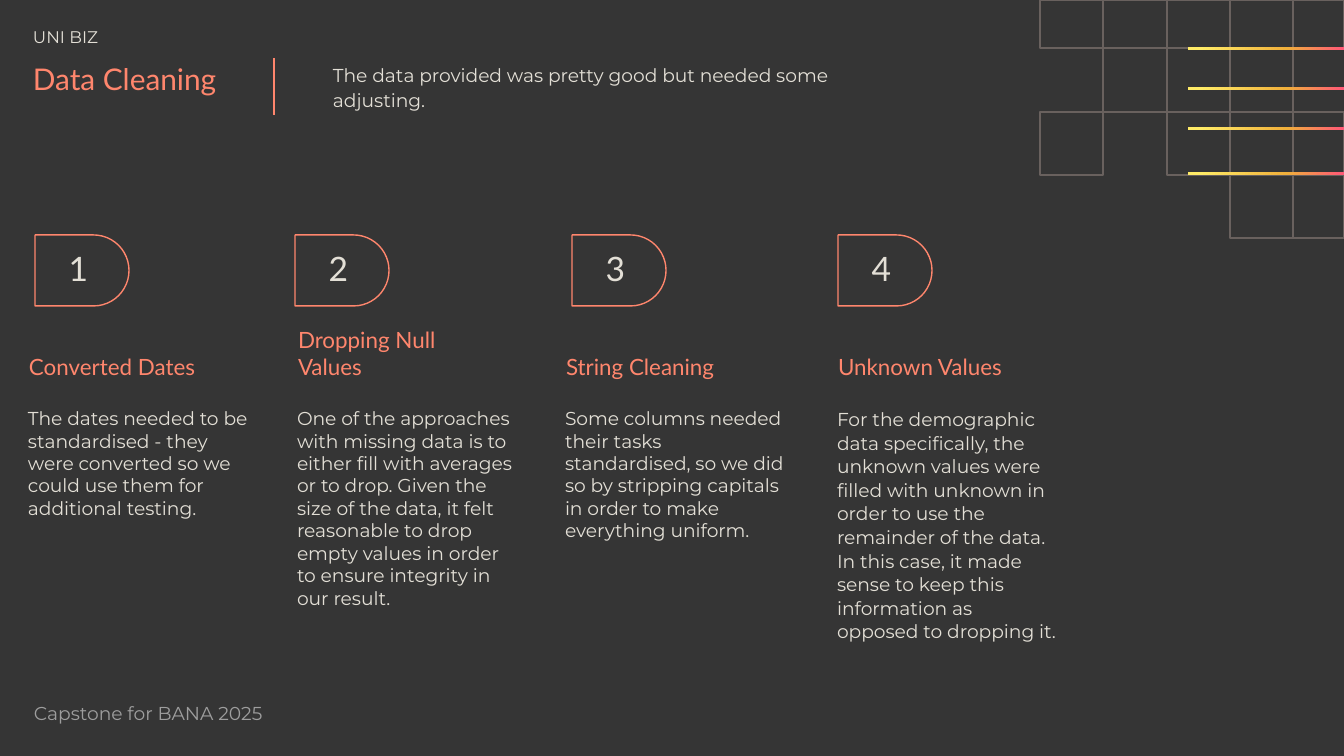
from copy import deepcopy
from dataclasses import dataclass

from lxml.etree import SubElement
from pptx import Presentation
from pptx.dml.color import RGBColor
from pptx.enum.shapes import MSO_CONNECTOR, MSO_SHAPE
from pptx.enum.text import MSO_ANCHOR, MSO_AUTO_SIZE, PP_ALIGN
from pptx.oxml.ns import qn
from pptx.util import Pt

WIDTH, HEIGHT = 1344, 756
EMU_PER_PX = 9144000 / WIDTH

KICKER = "UNI BIZ"
TITLE = "Data Cleaning"
SUMMARY = "The data provided was pretty good but needed some adjusting."
FOOTER = "Capstone for BANA 2025"

STEPS = [
    {"heading": "Converted Dates", "badge_left": 35, "left": 15, "spacing": 1.0,
     "detail": "The dates needed to be standardised - they were converted so we could "
               "use them for additional testing."},
    {"heading": "Dropping Null Values", "badge_left": 295, "left": 284, "spacing": 1.0,
     "detail": "One of the approaches with missing data is to either fill with averages "
               "or to drop. Given the size of the data, it felt reasonable to drop empty "
               "values in order to ensure integrity in our result."},
    {"heading": "String Cleaning", "badge_left": 572, "left": 552, "spacing": 1.0,
     "detail": "Some columns needed their tasks standardised, so we did so by stripping "
               "capitals in order to make everything uniform."},
    {"heading": "Unknown Values", "badge_left": 838, "left": 824, "spacing": 1.05,
     "detail": "For the demographic data specifically, the unknown values were filled "
               "with unknown in order to use the remainder of the data. In this case, it "
               "made sense to keep this information as opposed to dropping it."},
]

GRID_X = [1040, 1103, 1167, 1230, 1293, WIDTH]
GRID_Y = [0, 48, 112, 175, 238]
GRID_CELLS = [(0, 1, 2, 3, 4), (1, 2, 3), (0, 2, 3, 4), (3, 4)]
STRIPE_LEFT, STRIPE_HEIGHT = 1188, 3
STRIPE_TOPS = [47, 87, 127, 172]

COLUMN_WIDTH = 233
HEADING_TOP, HEADING_HEIGHT = 317, 77
DETAIL_TOP, DETAIL_HEIGHT = 394, 296
BADGE_TOP, BADGE_LENGTH, BADGE_HEIGHT = 235, 94, 71
INSET = 13


@dataclass(frozen=True)
class Theme:
    background: str = "353535"
    accent: str = "FF866D"
    text: str = "E3DFD6"
    muted: str = "9E9E9E"
    grid: str = "69615E"
    stripe: tuple = ((0, "FFEB67"), (0.08, "FFEB67"), (0.63, "F0B03B"), (1, "FF5777"))
    display: str = "Lato"
    reading: str = "Montserrat"
    title_size: int = 16
    number_size: int = 18
    heading_size: int = 12
    body_size: int = 10
    kicker_size: int = 9


THEME = Theme()


def px(length):
    return round(length * EMU_PER_PX)


def box(*lengths):
    return [px(length) for length in lengths]


def rgb(value):
    return RGBColor.from_string(value)


def write(holder, words, font, size, color, insets=(INSET,) * 4,
          anchor=MSO_ANCHOR.TOP, align=PP_ALIGN.LEFT, spacing=1.0):
    frame = holder.text_frame
    frame.text = words
    frame.word_wrap = True
    frame.auto_size = MSO_AUTO_SIZE.NONE
    frame.vertical_anchor = anchor
    (frame.margin_left, frame.margin_top,
     frame.margin_right, frame.margin_bottom) = box(*insets)
    paragraph = frame.paragraphs[0]
    paragraph.alignment = align
    paragraph.line_spacing = spacing
    paragraph.space_before = Pt(0)
    properties = paragraph._p.get_or_add_pPr()
    properties.set("marL", "0")
    properties.set("indent", "0")
    SubElement(properties, qn("a:buNone"))
    run_font = paragraph.runs[0].font
    run_font.name = font
    run_font.size = Pt(size)
    run_font.bold = False
    run_font.color.rgb = rgb(color)


def add_text(slide, place, words, *style, **layout):
    write(slide.shapes.add_textbox(*box(*place)), words, *style, **layout)


def place_holder(holder, left, top, width, height):
    holder.left, holder.top, holder.width, holder.height = box(left, top, width, height)
    return holder


def add_outline(slide, kind, place, color):
    outline = slide.shapes.add_shape(kind, *box(*place))
    outline.shadow.inherit = False
    outline.fill.background()
    outline.line.color.rgb = rgb(color)
    outline.line.width = Pt(0.75)
    return outline


def add_grid(slide):
    for row, columns in enumerate(GRID_CELLS):
        for column in columns:
            left, right = GRID_X[column:column + 2]
            top, bottom = GRID_Y[row:row + 2]
            add_outline(slide, MSO_SHAPE.RECTANGLE,
                        (left, top, right - left, bottom - top), THEME.grid)


def add_stripes(slide):
    for top in STRIPE_TOPS:
        stripe = slide.shapes.add_shape(
            MSO_SHAPE.RECTANGLE, *box(STRIPE_LEFT, top, WIDTH - STRIPE_LEFT, STRIPE_HEIGHT))
        stripe.shadow.inherit = False
        stripe.line.fill.background()
        stripe.fill.gradient()
        stripe.fill.gradient_angle = 0
        stops = stripe._element.spPr.find(".//" + qn("a:gsLst"))
        while len(stops) < len(THEME.stripe):
            stops.append(deepcopy(stops[0]))
        for stop, (position, color) in zip(stripe.fill.gradient_stops, THEME.stripe):
            stop.position = position
            stop.color.rgb = rgb(color)


def add_header(slide):
    divider = slide.shapes.add_connector(MSO_CONNECTOR.STRAIGHT, *box(274, 58, 274, 115))
    divider.line.color.rgb = rgb(THEME.accent)
    divider.line.width = Pt(1.5)
    SubElement(divider._element.spPr, qn("a:effectLst"))
    indented = (28, 14, INSET, INSET)
    add_text(slide, (5, 13, 233, 28), KICKER, THEME.reading, THEME.kicker_size,
             THEME.text, insets=indented)
    write(place_holder(slide.shapes.title, 5, 47, 269, 77), TITLE, THEME.display,
          THEME.title_size, THEME.accent, insets=indented)
    add_text(slide, (320, 47, 574, 77), SUMMARY, THEME.reading, THEME.body_size,
             THEME.text, spacing=1.15)


def add_step(slide, number, step, detail):
    turn = (BADGE_LENGTH - BADGE_HEIGHT) / 2
    badge = add_outline(slide, MSO_SHAPE.ROUND_2_SAME_RECTANGLE,
                        (step["badge_left"] + turn, BADGE_TOP - turn,
                         BADGE_HEIGHT, BADGE_LENGTH), THEME.accent)
    badge.adjustments[0], badge.adjustments[1] = 0.5, 0
    badge.rotation = 90
    add_text(slide, (step["badge_left"], BADGE_TOP, BADGE_LENGTH, BADGE_HEIGHT),
             str(number), THEME.display, THEME.number_size, THEME.text,
             insets=(INSET, INSET, 20, INSET), align=PP_ALIGN.CENTER)
    add_text(slide, (step["left"], HEADING_TOP, COLUMN_WIDTH, HEADING_HEIGHT),
             step["heading"], THEME.display, THEME.heading_size, THEME.accent,
             insets=(14, INSET, 18, 14), anchor=MSO_ANCHOR.BOTTOM)
    write(place_holder(detail, step["left"], DETAIL_TOP, COLUMN_WIDTH, DETAIL_HEIGHT),
          step["detail"], THEME.reading, THEME.body_size, THEME.text,
          insets=(INSET, INSET, 0, INSET), spacing=step["spacing"])


def main():
    deck = Presentation()
    deck.slide_width, deck.slide_height = box(WIDTH, HEIGHT)
    slide = deck.slides.add_slide(deck.slide_layouts.get_by_name("Comparison"))
    slide.background.fill.solid()
    slide.background.fill.fore_color.rgb = rgb(THEME.background)
    add_grid(slide)
    add_stripes(slide)
    add_header(slide)
    details = [holder for holder in slide.placeholders if holder.placeholder_format.idx > 0]
    for number, (step, detail) in enumerate(zip(STEPS, details), start=1):
        add_step(slide, number, step, detail)
    add_text(slide, (34, 702, 285, 28), FOOTER, THEME.reading, THEME.body_size,
             THEME.muted, insets=(0, 0, 0, 0))
    deck.save("out.pptx")


if __name__ == "__main__":
    main()
